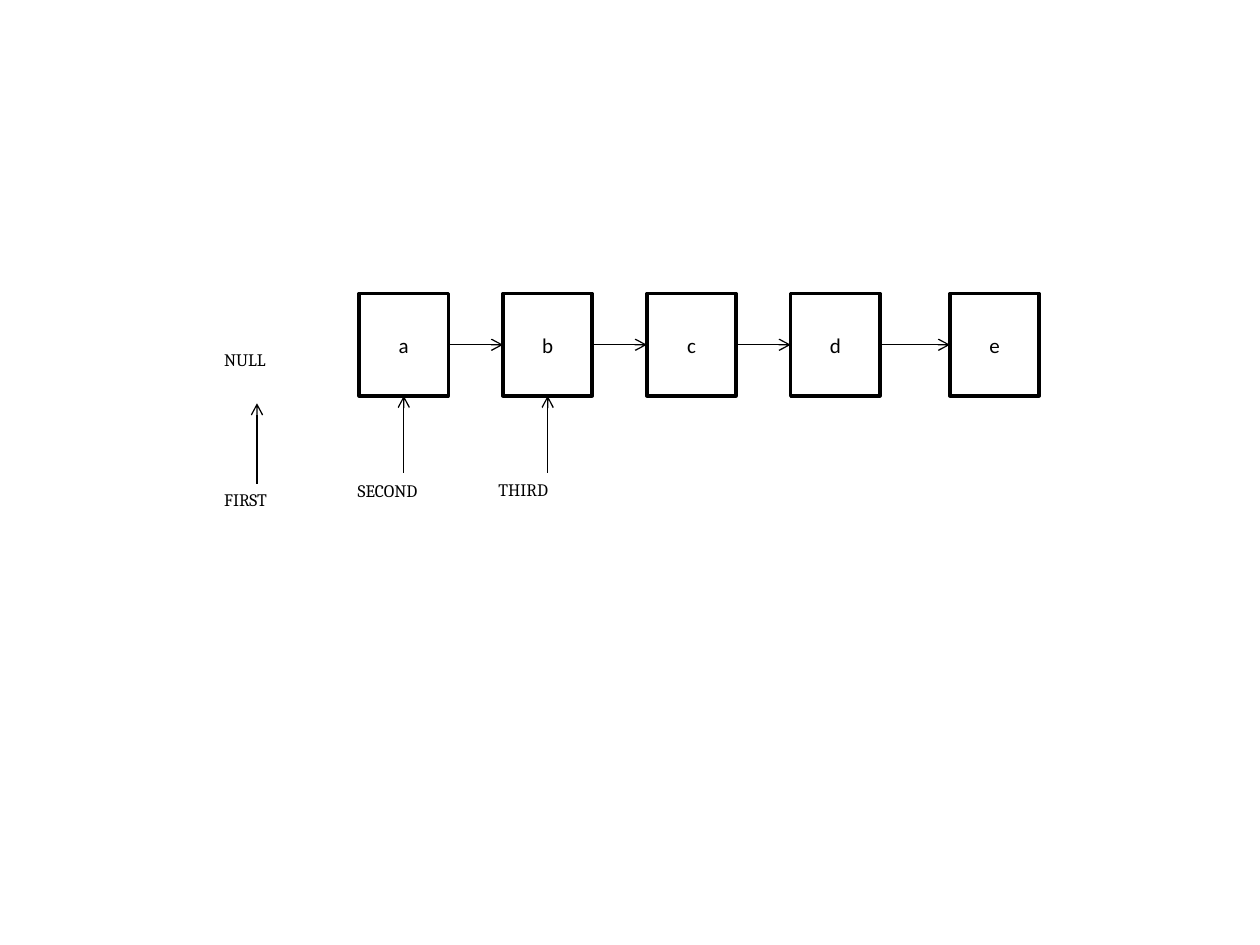
import pptx
import pptx.dml.color
import pptx.enum.shapes
import pptx.enum.text
import pptx.oxml
import pptx.oxml.ns
import pptx.util
from dataclasses import dataclass
from pptx.util import Cm, Pt


@dataclass(frozen=True)
class Theme:
    ink = pptx.dml.color.RGBColor(0, 0, 0)
    paper = pptx.dml.color.RGBColor(255, 255, 255)
    node_font = "Calibri"
    label_font = "Cambria"
    node_size = Pt(12)
    label_size = Pt(10)
    node_line = Pt(2)
    arrow_line = Pt(0.75)


# Node value and the gap in cm that follows it
NODES = [("a", 1.1), ("b", 1.1), ("c", 1.1), ("d", 1.41), ("e", 0)]
# Pointer label, label left and top in cm, node pointed at (None is NULL)
POINTERS = [
    ("FIRST", 4.27, 9.73, None),
    ("SECOND", 6.96, 9.55, "a"),
    ("THIRD", 9.8, 9.53, "b"),
]
NULL_LABEL = ("NULL", 4.27, 6.91)
NULL_ARROW = (5.18, 9.75, 8.13)  # x, tail y, head y

NODES_LEFT, NODES_TOP = 7.24, 5.92
NODE_WIDTH, NODE_HEIGHT = 1.8, 2.06
POINTER_TAIL = 9.53
LABEL_WIDTH, LABEL_HEIGHT = 2.5, 1.19
BOTTOM, LEFT, RIGHT = 2, 1, 3


def write(paragraph, text, font_name, size):
    run = paragraph.add_run()
    run.text = text
    run.font.name = font_name
    run.font.size = size
    run.font.color.rgb = Theme.ink


def add_node(slide, value, left):
    node = slide.shapes.add_shape(
        pptx.enum.shapes.MSO_SHAPE.RECTANGLE,
        Cm(left), Cm(NODES_TOP), Cm(NODE_WIDTH), Cm(NODE_HEIGHT))
    node.shadow.inherit = False
    node.fill.solid()
    node.fill.fore_color.rgb = Theme.paper
    node.line.color.rgb = Theme.ink
    node.line.width = Theme.node_line
    node.text_frame.vertical_anchor = pptx.enum.text.MSO_ANCHOR.MIDDLE
    paragraph = node.text_frame.paragraphs[0]
    paragraph.alignment = pptx.enum.text.PP_ALIGN.CENTER
    write(paragraph, value, Theme.node_font, Theme.node_size)
    return node


def add_label(slide, text, left, top):
    label = slide.shapes.add_textbox(
        Cm(left), Cm(top), Cm(LABEL_WIDTH), Cm(LABEL_HEIGHT))
    label.text_frame.word_wrap = True
    write(label.text_frame.paragraphs[0], text,
          Theme.label_font, Theme.label_size)


def add_arrow(slide, x1, y1, x2, y2):
    """Draw a thin line with an open arrowhead at its second point."""
    arrow = slide.shapes.add_connector(
        pptx.enum.shapes.MSO_CONNECTOR.STRAIGHT, x1, y1, x2, y2)
    arrow.line.color.rgb = Theme.ink
    arrow.line.width = Theme.arrow_line
    head = pptx.oxml.parse_xml(
        f'<a:tailEnd {pptx.oxml.ns.nsdecls("a")} type="arrow"/>')
    arrow.line._get_or_add_ln().append(head)
    arrow._element.spPr.append(pptx.oxml.parse_xml(
        f'<a:effectLst {pptx.oxml.ns.nsdecls("a")}/>'))
    return arrow


def main():
    deck = pptx.Presentation()
    deck.slide_width, deck.slide_height = Cm(25.4), Cm(19.05)
    slide = deck.slides.add_slide(deck.slide_layouts[6])

    nodes = {}
    left = NODES_LEFT
    for value, gap in NODES:
        nodes[value] = add_node(slide, value, left)
        left += NODE_WIDTH + gap

    chain = list(nodes.values())
    for node, following in zip(chain, chain[1:]):
        middle = node.top + node.height // 2
        link = add_arrow(slide, node.left + node.width, middle,
                         following.left, middle)
        link.begin_connect(node, RIGHT)
        link.end_connect(following, LEFT)

    add_label(slide, *NULL_LABEL)
    for name, label_left, label_top, target in POINTERS:
        add_label(slide, name, label_left, label_top)
        if target is None:
            x, tail, head = map(Cm, NULL_ARROW)
            add_arrow(slide, x, tail, x, head)
        else:
            node = nodes[target]
            x = node.left + node.width // 2
            pointer = add_arrow(slide, x, Cm(POINTER_TAIL),
                                x, node.top + node.height)
            pointer.end_connect(node, BOTTOM)

    deck.save("out.pptx")


if __name__ == "__main__":
    main()
